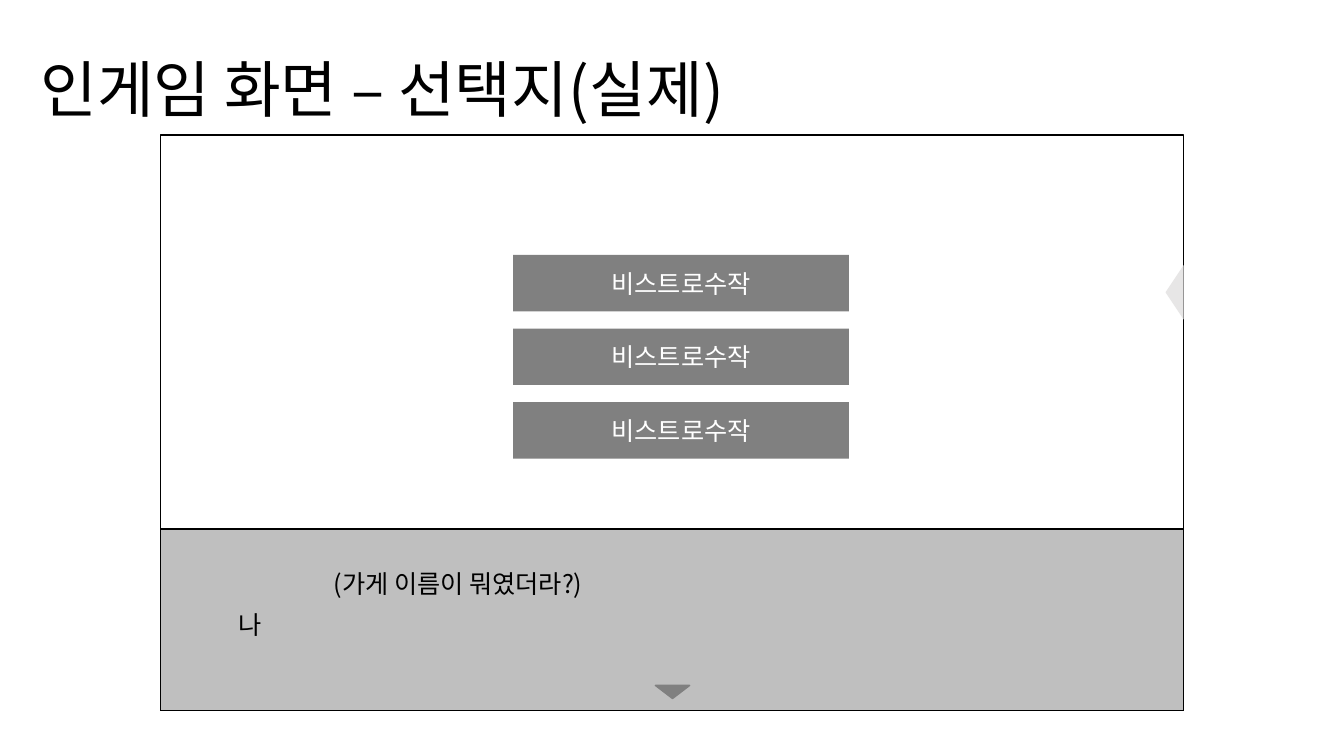
from dataclasses import dataclass

from lxml import etree
from pptx import Presentation
from pptx.dml.color import RGBColor
from pptx.enum.shapes import MSO_SHAPE
from pptx.enum.text import MSO_ANCHOR, PP_ALIGN
from pptx.oxml.ns import qn
from pptx.util import Emu, Pt

EMU_PER_PX = 9144  # 100 px to the inch
FONT = "Noto Sans CJK KR"
COLORS = {
    "black": "000000",
    "white": "FFFFFF",
    "panel": "BFBFBF",
    "button": "808080",
    "drawer": "E7E6E6",
}
RECT, TRIANGLE = MSO_SHAPE.RECTANGLE, MSO_SHAPE.ISOSCELES_TRIANGLE
MIDDLE = MSO_ANCHOR.MIDDLE
LEFT, CENTER = PP_ALIGN.LEFT, PP_ALIGN.CENTER


@dataclass(frozen=True)
class Box:
    left: int
    top: int
    width: int
    height: int


@dataclass(frozen=True)
class Block:
    box: Box
    fill: str | None = None
    line: str | None = None
    kind: int = RECT
    rotation: int = 0
    label: str = ""


@dataclass(frozen=True)
class Caption:
    box: Box
    text: str


def px(length: int) -> Emu:
    return Emu(length * EMU_PER_PX)


def rgb(name: str) -> RGBColor:
    return RGBColor.from_string(COLORS[name])


def place(box: Box) -> tuple[Emu, Emu, Emu, Emu]:
    return px(box.left), px(box.top), px(box.width), px(box.height)


def write(frame, text: str, size: int, color: str, align: int = LEFT) -> None:
    """Fill a text frame with one paragraph in the slide's font."""
    frame.text = text
    paragraph = frame.paragraphs[0]
    paragraph.alignment = align
    font = paragraph.font
    font.name, font.size = FONT, Pt(size)
    font.color.rgb = rgb(color)
    # Hangul takes the East Asian typeface
    latin = paragraph._p.find(".//" + qn("a:latin"))
    east_asian = etree.Element(qn("a:ea"), typeface=FONT)
    latin.addnext(east_asian)


def draw_block(slide, block: Block) -> None:
    shape = slide.shapes.add_shape(block.kind, *place(block.box))
    shape.shadow.inherit = False
    shape.rotation = block.rotation
    if block.fill:
        shape.fill.solid()
        shape.fill.fore_color.rgb = rgb(block.fill)
    else:
        shape.fill.background()
    if block.line:
        shape.line.color.rgb = rgb(block.line)
        shape.line.width = Pt(1)
    else:
        shape.line.fill.background()
    if block.label:
        shape.text_frame.vertical_anchor = MIDDLE
        write(shape.text_frame, block.label, 18, "white", CENTER)


def draw_caption(slide, caption: Caption) -> None:
    frame = slide.shapes.add_textbox(*place(caption.box)).text_frame
    frame.word_wrap = True
    write(frame, caption.text, 18, "black")


def draw_title(slide, box: Box, text: str) -> None:
    title = slide.shapes.title
    title.left, title.top, title.width, title.height = place(box)
    title.text_frame.vertical_anchor = MIDDLE
    write(title.text_frame, text, 44, "black")
    title.text_frame.paragraphs[0].line_spacing = 0.9


DIALOGUE_PANEL = Block(Box(159, 525, 1015, 180), "panel", "black")
GAME_FRAME = Block(Box(159, 134, 1015, 571), line="black")
CAPTIONS = [
    Caption(Box(321, 559, 504, 40), "(가게 이름이 뭐였더라?)"),
    Caption(Box(227, 600, 50, 40), "나"),
]
CHOICE_PITCH = 73
CHOICES = [
    Block(Box(509, 253 + row * CHOICE_PITCH, 333, 56), "button", label=name)
    for row, name in enumerate(["비스트로수작"] * 3)
]
NEXT_ARROW = Block(Box(650, 680, 34, 13), "button", "button", TRIANGLE, 180)
DRAWER_ARROW = Block(Box(1138, 281, 54, 18), "drawer", None, TRIANGLE, 270)


def main() -> None:
    deck = Presentation()
    deck.slide_width, deck.slide_height = px(1333), px(750)
    slide = deck.slides.add_slide(deck.slide_layouts.get_by_name("Title Only"))

    draw_title(slide, Box(30, 19, 1150, 145), "인게임 화면 – 선택지(실제)")

    # Game screen with its dialogue
    draw_block(slide, DIALOGUE_PANEL)
    draw_block(slide, GAME_FRAME)
    for caption in CAPTIONS:
        draw_caption(slide, caption)

    # Choices and navigation arrows
    for block in [*CHOICES, NEXT_ARROW, DRAWER_ARROW]:
        draw_block(slide, block)

    deck.save("out.pptx")


if __name__ == "__main__":
    main()
